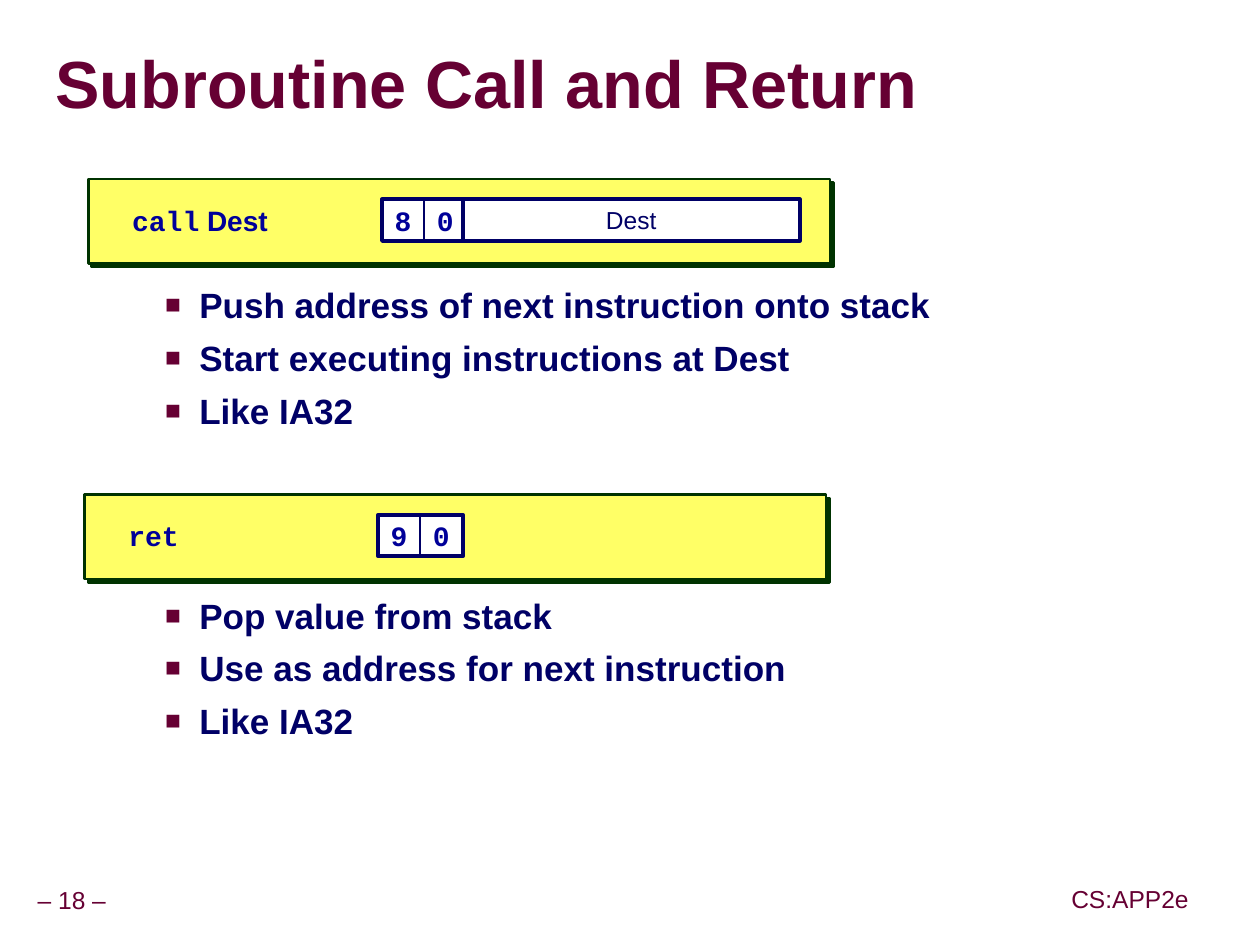
from lxml.etree import SubElement
from pptx import Presentation
from pptx.dml.color import RGBColor
from pptx.enum.shapes import MSO_SHAPE
from pptx.enum.text import MSO_ANCHOR, MSO_AUTO_SIZE, PP_ALIGN
from pptx.oxml import parse_xml
from pptx.oxml.ns import nsdecls, qn
from pptx.util import Inches, Pt

MAROON, NAVY, BLUE = "660033", "000066", "000099"
YELLOW, GREEN, WHITE = "FFFF66", "003300", "FFFFFF"
SANS, MONO = "Arial", "Courier New"
CELL = 0.33
BYTE_WIDTH = 0.67
BULLET_GAP = 6
SECTION_GAP = 93


def color(hex_string):
    return RGBColor.from_string(hex_string)


def style(span, size, name, hex_color, bold=False):
    span.font.size = Pt(size)
    span.font.name = name
    span.font.bold = bold
    span.font.color.rgb = color(hex_color)


def place(shape, left, top, width, height):
    shape.left, shape.top = Inches(left), Inches(top)
    shape.width, shape.height = Inches(width), Inches(height)


def set_margins(frame, horizontal, vertical):
    frame.margin_left = frame.margin_right = Inches(horizontal)
    frame.margin_top = frame.margin_bottom = Inches(vertical)


def shadow_effect(hex_color, distance):
    """Return a sharp shadow that falls to the lower right."""
    return parse_xml(
        f'<a:effectLst {nsdecls("a")}><a:outerShdw dist="{Pt(distance)}" dir="2700000" '
        f'algn="ctr" rotWithShape="0"><a:srgbClr val="{hex_color}"/>'
        '</a:outerShdw></a:effectLst>')


def add_rectangle(shapes, left, top, width, height, fill, line, weight):
    box = shapes.add_shape(MSO_SHAPE.RECTANGLE, Inches(left), Inches(top),
                           Inches(width), Inches(height))
    box.shadow.inherit = False
    if fill:
        box.fill.solid()
        box.fill.fore_color.rgb = color(fill)
    else:
        box.fill.background()
    box.line.color.rgb = color(line)
    box.line.width = Pt(weight)
    return box


def write_centered(box, text, size, name, hex_color, bold=False):
    frame = box.text_frame
    frame.text = text
    frame.word_wrap = False
    frame.vertical_anchor = MSO_ANCHOR.MIDDLE
    para = frame.paragraphs[0]
    para.alignment = PP_ALIGN.CENTER
    style(para.runs[0], size, name, hex_color, bold)


def add_instruction(slide, left, top, label, digits, operand=None):
    """Draw a yellow panel with an instruction and its byte encoding."""
    shapes = slide.shapes.add_group_shape().shapes
    panel = add_rectangle(shapes, left, top, 5.88, 0.67, YELLOW, GREEN, 1.5)
    spPr = panel._element.spPr
    spPr.replace(spPr.find(qn("a:effectLst")), shadow_effect(GREEN, 2.8))

    row = top + 0.16
    box = shapes.add_textbox(Inches(left + 0.25), Inches(row), Inches(2.08), Inches(CELL))
    frame = box.text_frame
    frame.word_wrap = True
    frame.vertical_anchor = MSO_ANCHOR.MIDDLE
    for text, name in label:
        span = frame.paragraphs[0].add_run()
        span.text = text
        style(span, 16, name, BLUE, bold=True)

    byte_left = left + 2.33
    for index, digit in enumerate(digits):
        cell = add_rectangle(shapes, byte_left + index * BYTE_WIDTH / 2, row,
                             CELL, CELL, WHITE, NAVY, 0.5)
        write_centered(cell, digit, 16, MONO, BLUE, bold=True)
    add_rectangle(shapes, byte_left, row, BYTE_WIDTH, CELL, None, NAVY, 2.25)
    if operand:
        field = add_rectangle(shapes, left + 2.97, row, 2.67, CELL, WHITE, NAVY, 2.25)
        write_centered(field, operand, 14, SANS, NAVY)


def fill_title(title, text):
    place(title, 0.44, 0.27, 9.52, 0.85)
    frame = title.text_frame
    frame.text = text
    frame.word_wrap = True
    frame.auto_size = MSO_AUTO_SIZE.NONE
    frame.vertical_anchor = MSO_ANCHOR.MIDDLE
    set_margins(frame, 0, 0)
    para = frame.paragraphs[0]
    para.alignment = PP_ALIGN.LEFT
    para.line_spacing = 0.87
    span = para.runs[0]
    style(span, 38, SANS, MAROON, bold=True)
    span.font.fill._xPr.find(qn("a:solidFill")).addnext(shadow_effect("999999", 3))


def add_bullet(para):
    pPr = para._p.get_or_add_pPr()
    pPr.set("marL", str(Inches(0.81)))
    pPr.set("indent", str(Inches(-0.27)))
    SubElement(SubElement(pPr, qn("a:buClr")), qn("a:srgbClr"), val=MAROON)
    SubElement(pPr, qn("a:buSzPct"), val="75000")
    SubElement(pPr, qn("a:buFont"), typeface=SANS)
    SubElement(pPr, qn("a:buChar"), char="■")


def fill_body(body, sections):
    place(body, 0.67, 2.2, 8.42, 1.7)
    frame = body.text_frame
    frame.text = "\n".join(line for section in sections for line in section)
    frame.word_wrap = True
    frame.auto_size = MSO_AUTO_SIZE.NONE
    frame.vertical_anchor = MSO_ANCHOR.TOP
    set_margins(frame, 0.1, 0.05)
    gaps = [BULLET_GAP if index else SECTION_GAP
            for section in sections for index in range(len(section))]
    gaps[0] = 0
    for para, gap in zip(frame.paragraphs, gaps):
        para.level = 1
        para.alignment = PP_ALIGN.LEFT
        para.line_spacing = 1.0
        para.space_before = Pt(gap)
        add_bullet(para)
        style(para.runs[0], 20, SANS, NAVY, bold=True)


def add_footer(slide, left, top, width, text):
    box = slide.shapes.add_textbox(Inches(left), Inches(top), Inches(width), Inches(0.31))
    write_centered(box, text, 14, SANS, MAROON)
    set_margins(box.text_frame, 0.05, 0.05)
    box.text_frame.paragraphs[0].line_spacing = 0.9


def main():
    deck = Presentation()
    deck.slide_width, deck.slide_height = Inches(9.99), Inches(7.49)
    slide = deck.slides.add_slide(deck.slide_layouts[1])

    fill_title(slide.shapes.title, "Subroutine Call and Return")
    fill_body(slide.placeholders[1], [
        ["Push address of next instruction onto stack",
         "Start executing instructions at Dest",
         "Like IA32"],
        ["Pop value from stack",
         "Use as address for next instruction",
         "Like IA32"],
    ])
    add_instruction(slide, 0.7, 1.42, [("call", MONO), (" Dest", SANS)], "80", "Dest")
    add_instruction(slide, 0.67, 3.92, [("ret", MONO)], "90")
    add_footer(slide, 0.24, 6.99, 0.66, "– 18 –")
    add_footer(slide, 8.44, 6.98, 1.04, "CS:APP2e")
    deck.save("out.pptx")


if __name__ == "__main__":
    main()
